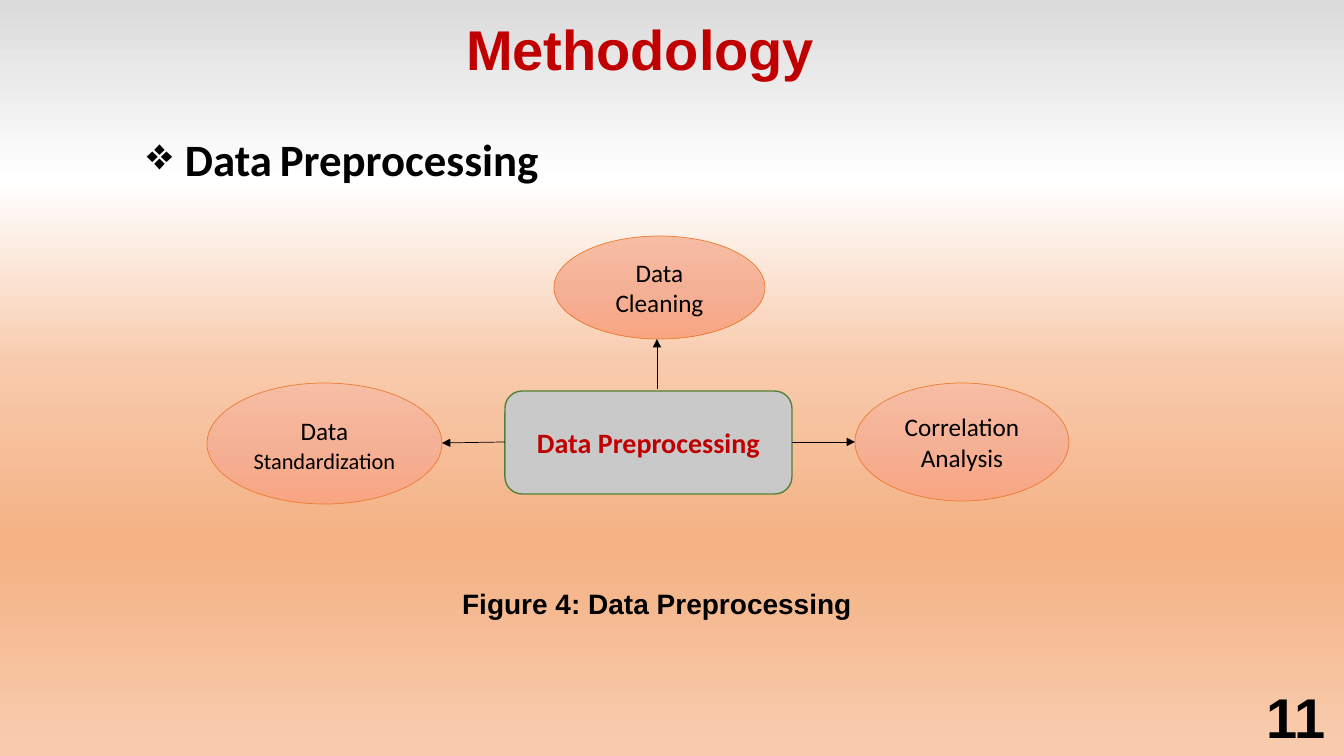
import pptx
import pptx.util
import pptx.dml.color
import pptx.enum.shapes
import pptx.enum.text
import pptx.oxml
import pptx.oxml.ns
import lxml.etree

RGB = pptx.dml.color.RGBColor
BLACK = RGB(0x00, 0x00, 0x00)
WHITE = RGB(0xFF, 0xFF, 0xFF)
RED = RGB(0xC0, 0x00, 0x00)
SILVER = RGB(0xC9, 0xC9, 0xC9)
MIST = RGB(0xDB, 0xDB, 0xDB)
PEACH = RGB(0xF8, 0xCB, 0xAD)
SAND = RGB(0xF4, 0xB1, 0x83)
GREEN = RGB(0x53, 0x81, 0x35)
ORANGE = RGB(0xED, 0x7D, 0x31)
PALE = RGB(0xF7, 0xBD, 0xA5)
CORAL = RGB(0xF5, 0xB1, 0x96)
SALMON = RGB(0xF8, 0xA5, 0x82)

SKY = [(0, MIST), (24, WHITE), (48, PEACH), (72, SAND), (98, PEACH)]
GLOW = [(0, PALE), (50, CORAL), (100, SALMON)]

CENTER = pptx.enum.text.PP_ALIGN.CENTER
LEFT = pptx.enum.text.PP_ALIGN.LEFT
KINDS = pptx.enum.shapes.MSO_SHAPE
TITLE = {"name": "Arial", "size": 40, "bold": True}
HEAD = {"name": "Calibri", "size": 32, "bold": True}
LABEL = {"name": "Calibri", "size": 18, "bold": False}
CORE = {"name": "Calibri", "size": 20, "bold": True}
NOTE = {"name": "Arial", "size": 20, "bold": True}


def px(n):
    return pptx.util.Emu(round(n * 914400 / 100.8))


def place(box):
    return [px(n) for n in box]


def add(node, tag, **attrs):
    child = lxml.etree.SubElement(node, pptx.oxml.ns.qn(tag))
    for key, value in attrs.items():
        child.set(key, str(value))
    return child


def shade(fill, owner, stops):
    fill.gradient()
    fill.gradient_angle = 270
    grad = next(owner.iter(pptx.oxml.ns.qn("a:gsLst")))
    for stop in list(grad):
        grad.remove(stop)
    for spot, color in stops:
        stop = add(grad, "a:gs", pos=spot * 1000)
        add(stop, "a:srgbClr", val=color)


def write(para, runs, form, color, align):
    para.alignment = align
    for text, size in runs:
        run = para.add_run()
        run.text = text
        values = {**form, "size": pptx.util.Pt(size or form["size"])}
        for key, value in values.items():
            setattr(run.font, key, value)
        run.font.color.rgb = color


def label(slide, box, runs, form, color=BLACK, align=CENTER, mark=None):
    frame = slide.shapes.add_textbox(*place(box)).text_frame
    frame.word_wrap = True
    frame.auto_size = pptx.enum.text.MSO_AUTO_SIZE.SHAPE_TO_FIT_TEXT
    para = frame.paragraphs[0]
    if mark:
        props = para._p.get_or_add_pPr()
        props.set("marL", str(px(38)))
        props.set("indent", str(-px(38)))
        add(props, "a:buChar", char=mark)
    write(para, runs, form, color, align)


def node(slide, kind, box, runs, form, color, edge, width):
    shape = slide.shapes.add_shape(kind, *place(box))
    shape.shadow.inherit = False
    shape.line.color.rgb = edge
    shape.line.width = pptx.util.Pt(width)
    frame = shape.text_frame
    frame.word_wrap = True
    frame.vertical_anchor = pptx.enum.text.MSO_ANCHOR.MIDDLE
    write(frame.paragraphs[0], runs, form, color, CENTER)
    return shape


def oval(slide, box, runs):
    shape = node(slide, KINDS.OVAL, box, runs, LABEL, BLACK, ORANGE, 0.5)
    shade(shape.fill, shape._element, GLOW)
    return shape


def arrow(slide, start, end):
    kind = pptx.enum.shapes.MSO_CONNECTOR.STRAIGHT
    link = slide.shapes.add_connector(kind, *place(start + end))
    link.line.color.rgb = BLACK
    link.line.width = pptx.util.Pt(0.5)
    add(link.line._get_or_add_ln(), "a:tailEnd", type="triangle")
    add(link._element.spPr, "a:effectLst")


def chart(slide, box):
    x, y, w, h = box
    core = node(slide, KINDS.ROUNDED_RECTANGLE, (x + 298, y + 155, 287, 103),
                [("Data Preprocessing", None)], CORE, RED, GREEN, 1)
    core.fill.solid()
    core.fill.fore_color.rgb = SILVER
    oval(slide, (x + 347, y, 211, 103), [("Data Cleaning", None)])
    left = oval(slide, (x, y + 147, 235, 121),
                [("Data", None), (" Standardization", 16)])
    para = left.text_frame.paragraphs[0]
    for key, value in {"line_spacing": 1.07,
                       "space_after": pptx.util.Pt(8)}.items():
        setattr(para, key, value)
    oval(slide, (x + w - 214, y + 147, 214, 118),
         [("Correlation Analysis", None)])
    arrow(slide, (x + 450, y + 153), (x + 450, y + 103))
    arrow(slide, (x + 585, y + 206), (x + w - 214, y + 206))
    arrow(slide, (x + 298, y + 206), (x + 235, y + 207))


def page(slide, box):
    x, y, w, h = box
    shade(slide.background.fill, slide._element, SKY)
    label(slide, (x + 312, y + 10, 672, 78), [("Methodology ", None)],
          TITLE, RED)
    label(slide, (x + 137, y + 127, 672, 65),
          [("Data", None), (" ", 24), ("Preprocessing", None)],
          HEAD, align=LEFT, mark="❖")
    chart(slide, (x + 207, y + 236, 862, 268))
    label(slide, (x + w - 87, y + h - 78, 87, 78), [("11", None)],
          TITLE, align=LEFT)
    label(slide, (x + 317, y + 582, 680, 44),
          [("Figure 4: Data Preprocessing", None)], NOTE)


def main():
    deck = pptx.Presentation()
    deck.slide_width = px(1344)
    deck.slide_height = px(756)
    slide = deck.slides.add_slide(deck.slide_layouts[6])
    page(slide, (0, 0, 1344, 756))
    deck.save("out.pptx")


if __name__ == "__main__":
    main()
